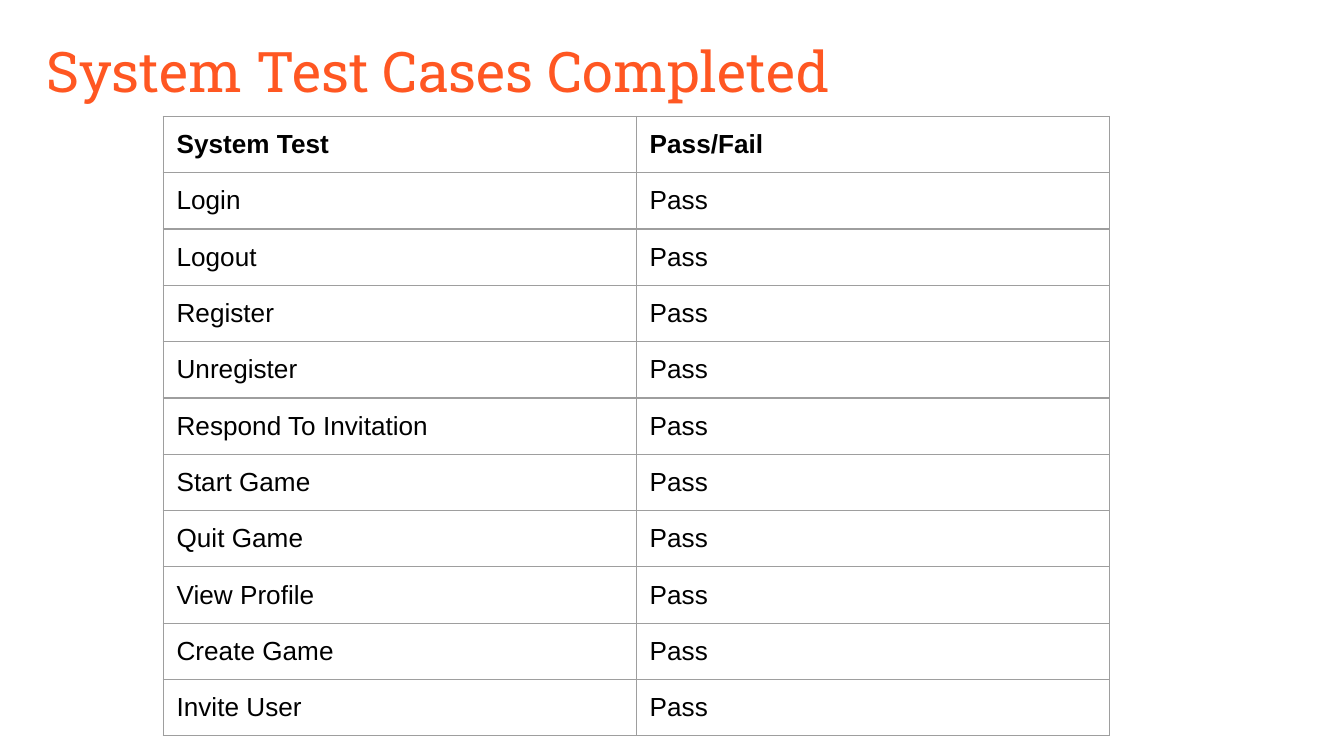
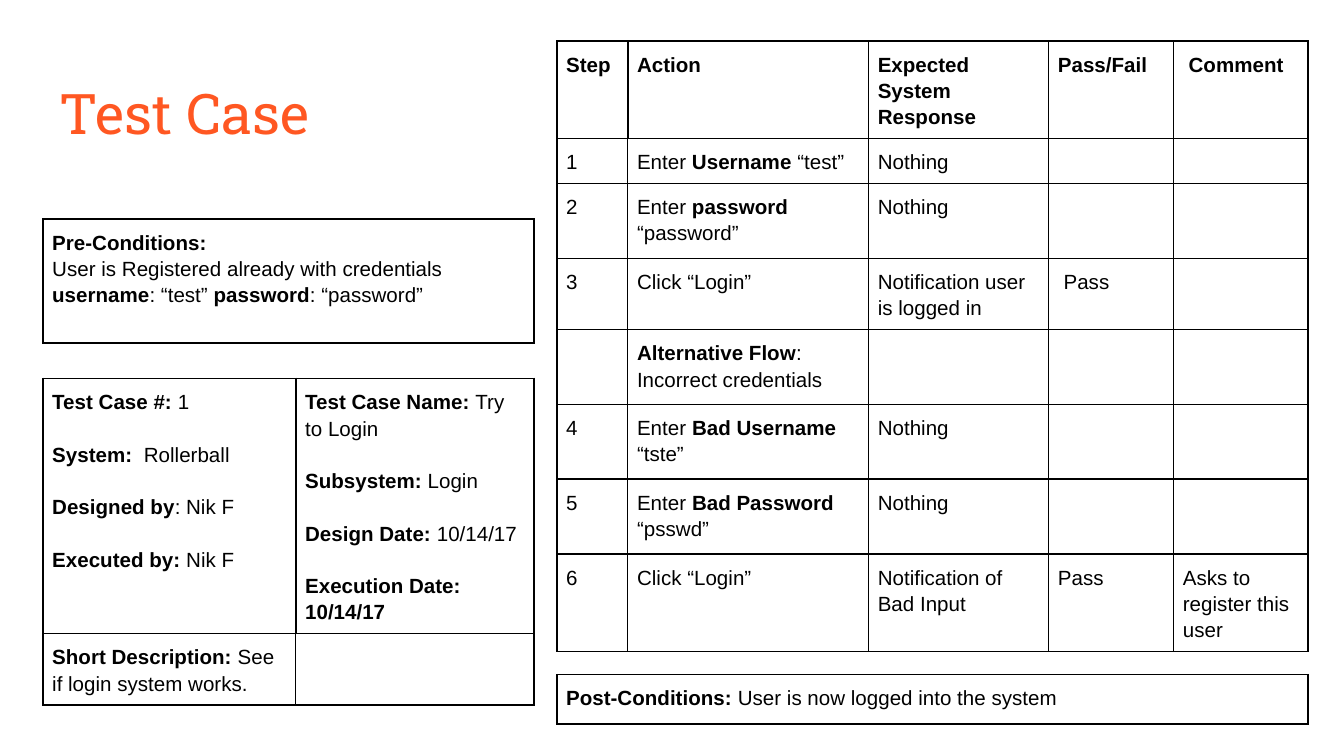
from lxml import etree
from pptx import Presentation
from pptx.dml.color import RGBColor
from pptx.enum import text
from pptx.oxml import ns
from pptx.util import Pt

ORANGE = "FF5722"
BLACK = "000000"
GREY = "9E9E9E"
HEAD = "Roboto Slab"
BODY = "Arial"

CASES = ["Login", "Logout", "Register", "Unregister", "Respond To Invitation",
         "Start Game", "Quit Game", "View Profile", "Create Game", "Invite User"]

BEFORE = [["*Pre-Conditions:*\nUser is Registered already with credentials "
           "*username*: “test” *password*: “password”"]]

DETAILS = [
    ["*Test Case #: *1\n*System:  *Rollerball\n*Designed by*: Nik F\n*Executed by: *Nik F",
     "*Test Case Name: *Try to Login\n*Subsystem:* Login\n"
     "*Design Date: *10/14/17\n*Execution Date: 10/14/17*"],
    ["*Short Description: *See if login system works.", ""],
]

STEPS = [
    ["*Step*", "*Action*", "*Expected System Response*", "*Pass/Fail*", " *Comment*"],
    ["1", "Enter* Username* “test”", "Nothing", "", ""],
    ["2", "Enter* password *“password”", "Nothing", "", ""],
    ["3", "Click “Login”", "Notification user is logged in", " Pass", ""],
    ["", "*Alternative Flow*: Incorrect credentials", "", "", ""],
    ["4", "Enter *Bad Username* “tste”", "Nothing", "", ""],
    ["5", "Enter *Bad Password *“psswd”", "Nothing", "", ""],
    ["6", "Click “Login”", "Notification of Bad Input", "Pass", "Asks to register this user"],
]

AFTER = [["*Post-Conditions: *User is now logged into the system"]]


def paint(hue):
    return RGBColor.from_string(hue)


def style(font, name, size, hue, bold=False):
    font.name = name
    font.size = Pt(size)
    font.bold = bold
    font.color.rgb = paint(hue)


def add_page(deck, title, left, top):
    page = deck.slides.add_slide(deck.slide_layouts[5])
    box = page.shapes.title
    box.left, box.top, box.width, box.height = Pt(left), Pt(top), Pt(671), Pt(45)
    frame = box.text_frame
    frame.text = title
    frame.word_wrap = True
    frame.auto_size = text.MSO_AUTO_SIZE.NONE
    frame.vertical_anchor = text.MSO_ANCHOR.TOP
    frame.margin_left = frame.margin_right = Pt(7.2)
    frame.margin_top = frame.margin_bottom = Pt(7.2)
    para = frame.paragraphs[0]
    para.alignment = text.PP_ALIGN.LEFT
    style(para.runs[0].font, HEAD, 30, ORANGE)
    return page


def write(cell, words, size, lead, gap):
    frame = cell.text_frame
    frame.text = words
    for row, para in enumerate(frame.paragraphs):
        marked = para.text
        para.clear()
        para.line_spacing = lead
        para.space_before = Pt(gap if row else 0)
        for turn, part in enumerate(marked.split("*")):
            if part:
                run = para.add_run()
                run.text = part
                style(run.font, BODY, size, BLACK, turn % 2 == 1)
        if not marked:
            etree.SubElement(para._p, ns.qn("a:endParaRPr"), sz=str(size * 100))


def edge(cell, hue, widths):
    props = cell._tc.get_or_add_tcPr()
    for side, width in zip("LRTB", widths):
        line = etree.SubElement(props, ns.qn("a:ln" + side), w=str(Pt(width)))
        fill = etree.SubElement(line, ns.qn("a:solidFill"))
        etree.SubElement(fill, ns.qn("a:srgbClr"), val=hue)


def add_grid(page, left, top, cols, rows, data, size=11, pad=5, lead=1.15,
             gap=0, hue=BLACK, rim=1, inner=0.75):
    shape = page.shapes.add_table(len(rows), len(cols), Pt(left), Pt(top),
                                  Pt(sum(cols)), Pt(sum(rows)))
    grid = shape.table
    grid.first_row = grid.horz_banding = False
    for col, width in zip(grid.columns, cols):
        col.width = Pt(width)
    for row, height in zip(grid.rows, rows):
        row.height = Pt(height)
    for r, line in enumerate(data):
        for c, words in enumerate(line):
            cell = grid.cell(r, c)
            cell.margin_left = cell.margin_right = Pt(pad)
            cell.margin_top = cell.margin_bottom = Pt(pad)
            mid = inner if r else rim
            edge(cell, hue, (mid if c else rim,
                             mid if c < len(cols) - 1 else rim, rim, rim))
            cell.fill.background()
            write(cell, words, size, lead, gap)


def main():
    deck = Presentation()
    deck.slide_width, deck.slide_height = Pt(720), Pt(405)

    page = add_page(deck, "System Test Cases Completed", 17.5, 12.5)
    data = [["*System Test*", "*Pass/Fail*"]] + [[case, "Pass"] for case in CASES]
    add_grid(page, 87.4, 62.4, [253.5] * 2, [30.1] * len(data), data,
             size=14, pad=7.2, lead=1, hue=GREY, rim=0.75)

    page = add_page(deck, "Test Case", 24.8, 35)
    add_grid(page, 23, 202.8, [135.5, 127.5], [136.6, 38.2], DETAILS, gap=14.1)
    add_grid(page, 23, 117.4, [263], [66.2], BEFORE)
    add_grid(page, 298.3, 22, [38, 129, 96.5, 67, 72],
             [52.2, 24.1, 40.2, 38, 40, 40, 40.2, 52.2], STEPS)
    add_grid(page, 298.3, 361.4, [402.5], [26.6], AFTER)

    deck.save("out.pptx")


if __name__ == "__main__":
    main()
